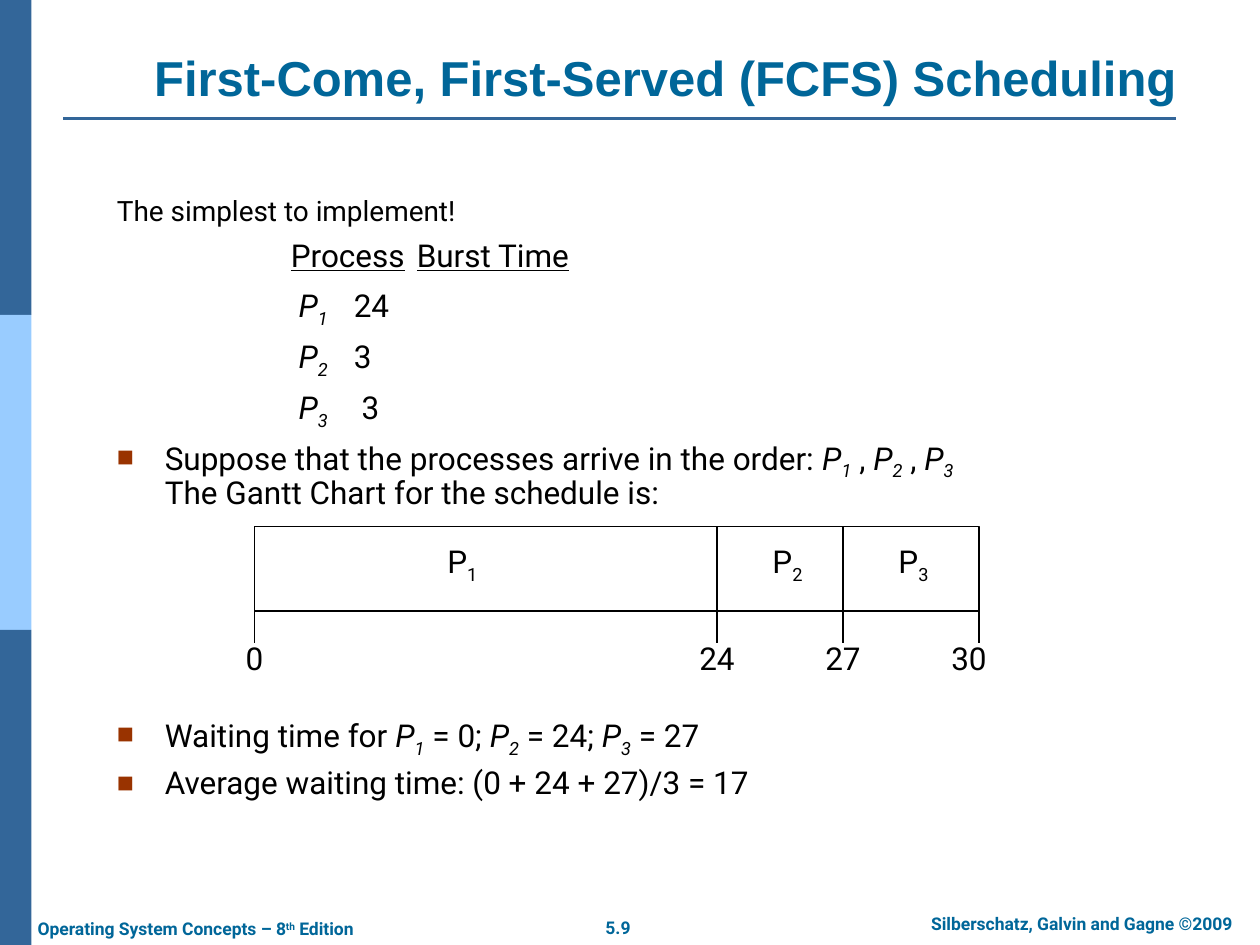
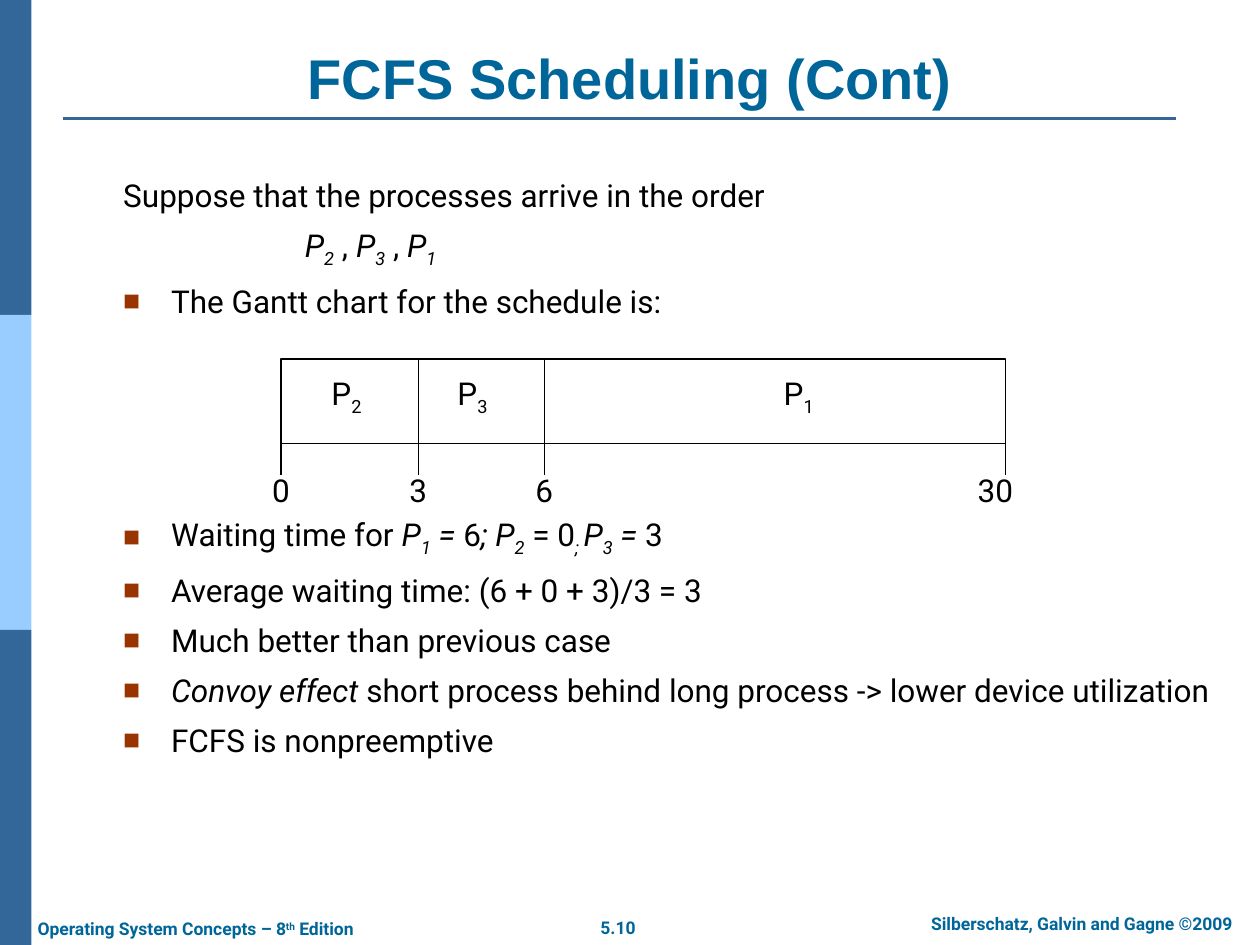
from dataclasses import dataclass
from itertools import accumulate

from lxml import etree
from pptx import Presentation
from pptx.dml.color import RGBColor
from pptx.enum.shapes import MSO_CONNECTOR, MSO_SHAPE
from pptx.enum.text import MSO_ANCHOR, PP_ALIGN
from pptx.oxml.ns import qn
from pptx.util import Inches, Pt

RECTANGLE = MSO_SHAPE.RECTANGLE
STRAIGHT = MSO_CONNECTOR.STRAIGHT
LEFT, CENTER = PP_ALIGN.LEFT, PP_ALIGN.CENTER
TOP, MIDDLE, BOTTOM = MSO_ANCHOR.TOP, MSO_ANCHOR.MIDDLE, MSO_ANCHOR.BOTTOM

SLIDE_WIDTH, SLIDE_HEIGHT = Inches(10), Inches(7.5)
CELL = SLIDE_WIDTH // 10  # the grid has 10 columns and 7.5 rows of square cells
BASELINES = {"sub": -25000, "super": 30000}


@dataclass(frozen=True)
class Theme:
    band: str = "336699"
    band_light: str = "99CCFF"
    heading: str = "006699"
    bullet: str = "993300"
    ink: str = "000000"
    paper: str = "FFFFFF"
    heading_font: str = "Arial"
    text_font: str = "Roboto"
    text_size: int = 18
    small_size: int = 16
    footer_size: int = 10
    space_before: int = 7
    hang: float = 0.38
    table_indent: float = 1.38
    bullet_percent: int = 90


THEME = Theme()


@dataclass(frozen=True)
class Slot:
    """One process in a Gantt chart; label_at is the label's centre inside the slot."""
    process: int
    end_time: int
    width: float
    label_at: float


@dataclass(frozen=True)
class Line:
    """One paragraph of the body; spans are strings or (text, style words)."""
    spans: list
    bullet: bool = False
    indent: float = 0
    size: int = THEME.text_size
    space_before: int = THEME.space_before


def grid(*cells):
    return [round(count * CELL) for count in cells]


def color(value):
    return RGBColor.from_string(value)


def process(number):
    return [("P", "italic"), (str(number), "italic sub")]


def add_spans(para, spans, size, font=THEME.text_font, ink=THEME.ink, bold=False):
    for span in spans:
        text, style = (span, "") if isinstance(span, str) else span
        if text == "\n":
            para.add_line_break()
            continue
        run = para.add_run()
        run.text = text
        run.font.name, run.font.size = font, Pt(size)
        run.font.color.rgb = color(ink)
        run.font.bold = bold
        run.font.italic = "italic" in style
        run.font.underline = "underline" in style
        for word in style.split():
            if word in BASELINES:
                run.font._element.set("baseline", str(BASELINES[word]))


def add_text(page, place, spans, size, align=CENTER, anchor=TOP, wrap=False, **look):
    frame = page.shapes.add_textbox(*grid(*place)).text_frame
    frame.word_wrap = wrap
    frame.vertical_anchor = anchor
    para = frame.paragraphs[0]
    para.alignment = align
    add_spans(para, spans, size, **look)


def add_box(page, place, fill, outline=None):
    box = page.shapes.add_shape(RECTANGLE, *grid(*place))
    box.shadow.inherit = False
    box.fill.solid()
    box.fill.fore_color.rgb = color(fill)
    if outline:
        box.line.color.rgb = color(outline)
        box.line.width = Pt(0.75)
    else:
        box.line.fill.background()


def add_line(page, start, end, ink=THEME.ink, width=0.75):
    line = page.shapes.add_connector(STRAIGHT, *grid(*start, *end))
    line.line.color.rgb = color(ink)
    line.line.width = Pt(width)
    etree.SubElement(line._element.spPr, qn("a:effectLst"))


def set_indent(para, line):
    properties = para._p.get_or_add_pPr()
    margin = THEME.hang if line.bullet else line.indent
    properties.set("marL", str(Inches(margin)))
    properties.set("indent", str(-Inches(margin) if line.bullet else 0))
    if not line.bullet:
        etree.SubElement(properties, qn("a:buNone"))
        return
    bullet_color = etree.SubElement(properties, qn("a:buClr"))
    etree.SubElement(bullet_color, qn("a:srgbClr"), val=THEME.bullet)
    etree.SubElement(properties, qn("a:buSzPct"), val=str(THEME.bullet_percent * 1000))
    etree.SubElement(properties, qn("a:buFont"), typeface=THEME.heading_font)
    etree.SubElement(properties, qn("a:buChar"), char="■")


def add_body(page, place, lines, line_spacing):
    frame = page.shapes.add_textbox(*grid(*place)).text_frame
    frame.word_wrap = True
    for index, line in enumerate(lines):
        para = frame.add_paragraph() if index else frame.paragraphs[0]
        para.line_spacing = line_spacing
        para.space_before = Pt(line.space_before if index else 0)
        set_indent(para, line)
        add_spans(para, line.spans, line.size)


def add_gantt(page, left, top, slots):
    """Draw the bar, its dividers, and the time scale that hangs below it."""
    height, tick, label_height = 0.67, 0.25, 0.4
    edges = [left, *accumulate((slot.width for slot in slots), initial=left)][1:]
    times = [0, *(slot.end_time for slot in slots)]
    bottom = top + height
    add_box(page, (left, top, edges[-1] - left, height), THEME.paper, THEME.ink)
    for slot, edge in zip(slots, edges):
        place = (edge + slot.label_at - 0.23, top + 0.09, 0.46, label_height)
        add_text(page, place, ["P", (str(slot.process), "sub")],
                 THEME.text_size, anchor=MIDDLE)
    for edge in edges[1:-1]:
        add_line(page, (edge, top), (edge, bottom))
    for edge, time in zip(edges, times):
        add_line(page, (edge, bottom), (edge, bottom + tick))
        shift = 0.08 if edge == edges[-1] else 0
        add_text(page, (edge - shift - 0.24, bottom + 0.17, 0.48, label_height),
                 [str(time)], THEME.text_size, anchor=MIDDLE)


def add_footer(page, number):
    look = {"size": THEME.footer_size, "ink": THEME.heading, "bold": True}
    add_text(page, (4.66, 7.23, 0.49, 0.27), [number], **look)
    add_text(page, (7.1, 7.2, 2.97, 0.27),
             ["Silberschatz, Galvin and Gagne ©2009"], wrap=True, **look)
    add_text(page, (0.2, 7.24, 2.88, 0.27),
             ["Operating System Concepts – 8", ("th", "super"), " Edition"],
             align=LEFT, **look)


def add_page(deck, number, title, title_place, title_size):
    """Add a slide with the side bands, title, rule and footer that all slides share."""
    page = deck.slides.add_slide(deck.slide_layouts[6])
    for index, fill in enumerate((THEME.band, THEME.band_light, THEME.band)):
        add_box(page, (0, 2.5 * index, 0.25, 2.5), fill)
    add_line(page, (0.5, 0.94), (9.33, 0.94), THEME.band, 1.5)
    add_footer(page, number)
    add_text(page, title_place, [title], title_size, anchor=BOTTOM, wrap=True,
             font=THEME.heading_font, ink=THEME.heading, bold=True)
    return page


def add_first_come_page(deck):
    page = add_page(deck, "5.9", "First-Come, First-Served (FCFS) Scheduling",
                    (0.72, 0.39, 9.12, 0.5), 28)
    header = [("Process", "underline"), "\t", ("Burst Time", "underline")]
    bursts = [(1, "\t24"), (2, "\t3"), (3, "\t 3")]
    rows = [header, *([" ", *process(number), burst] for number, burst in bursts)]
    lines = [
        Line(["The simplest to implement!"], size=THEME.small_size),
        *(Line(row, indent=THEME.table_indent) for row in rows),
        Line(["Suppose that the processes arrive in the order: ", *process(1), " , ",
              *process(2), " , ", *process(3), "\n",
              "The Gantt Chart for the schedule is:"], bullet=True),
        Line(["Waiting time for ", *process(1), " = 0; ", *process(2), " = 24; ",
              *process(3), " = 27"], bullet=True, space_before=117),
        Line(["Average waiting time: (0 + 24 + 27)/3 = 17"], bullet=True),
    ]
    add_body(page, (0.83, 1.52, 8.27, 4.5), lines, 0.9)
    add_gantt(page, 2.02, 4.18, [Slot(1, 24, 3.67, 1.65), Slot(2, 27, 1, 0.56),
                                 Slot(3, 30, 1.08, 0.56)])


def add_continued_page(deck):
    page = add_page(deck, "5.10", "FCFS Scheduling (Cont)", (0.5, 0.3, 9, 0.63), 32)
    lines = [
        Line(["Suppose that the processes arrive in the order"]),
        Line([" ", *process(2), " , ", *process(3), " , ", *process(1)],
             indent=THEME.table_indent),
        Line(["The Gantt chart for the schedule is:"], bullet=True),
        Line(["Waiting time for ", *process(1), (" =", "italic"), " 6", ("; ", "italic"),
              *process(2), " = 0", ("; ", "italic sub"), *process(3),
              (" = ", "italic"), "3"], bullet=True, space_before=112),
        Line(["Average waiting time: (6 + 0 + 3)/3 = 3"], bullet=True),
        Line(["Much better than previous case"], bullet=True),
        Line([("Convoy effect", "italic"),
              " short process behind long process -> lower device utilization"],
             bullet=True),
        Line(["FCFS is nonpreemptive"], bullet=True),
    ]
    add_body(page, (0.88, 1.35, 9, 4.95), lines, 1)
    add_gantt(page, 2.23, 2.85, [Slot(2, 3, 1.09, 0.52), Slot(3, 6, 1, 0.43),
                                 Slot(1, 30, 3.66, 2.02)])


def main():
    deck = Presentation()
    deck.slide_width, deck.slide_height = SLIDE_WIDTH, SLIDE_HEIGHT
    add_first_come_page(deck)
    add_continued_page(deck)
    deck.save("out.pptx")


if __name__ == "__main__":
    main()
